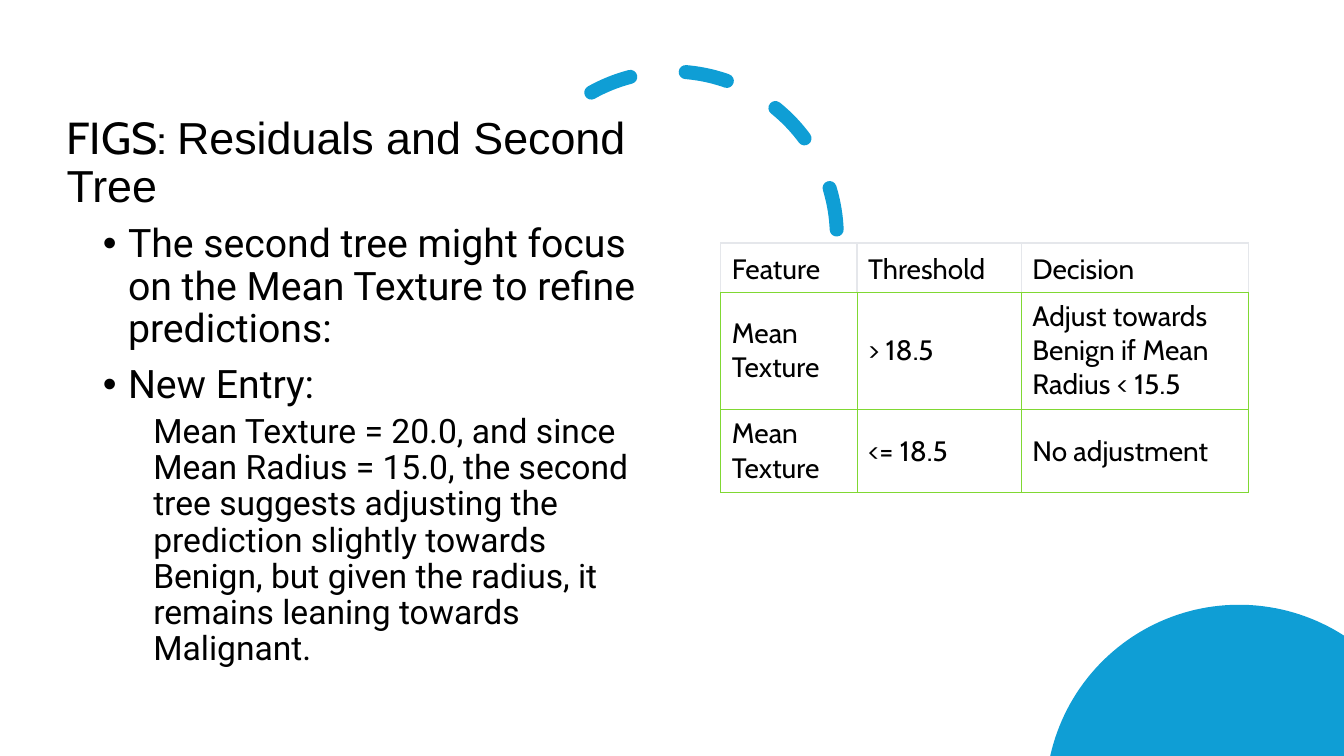
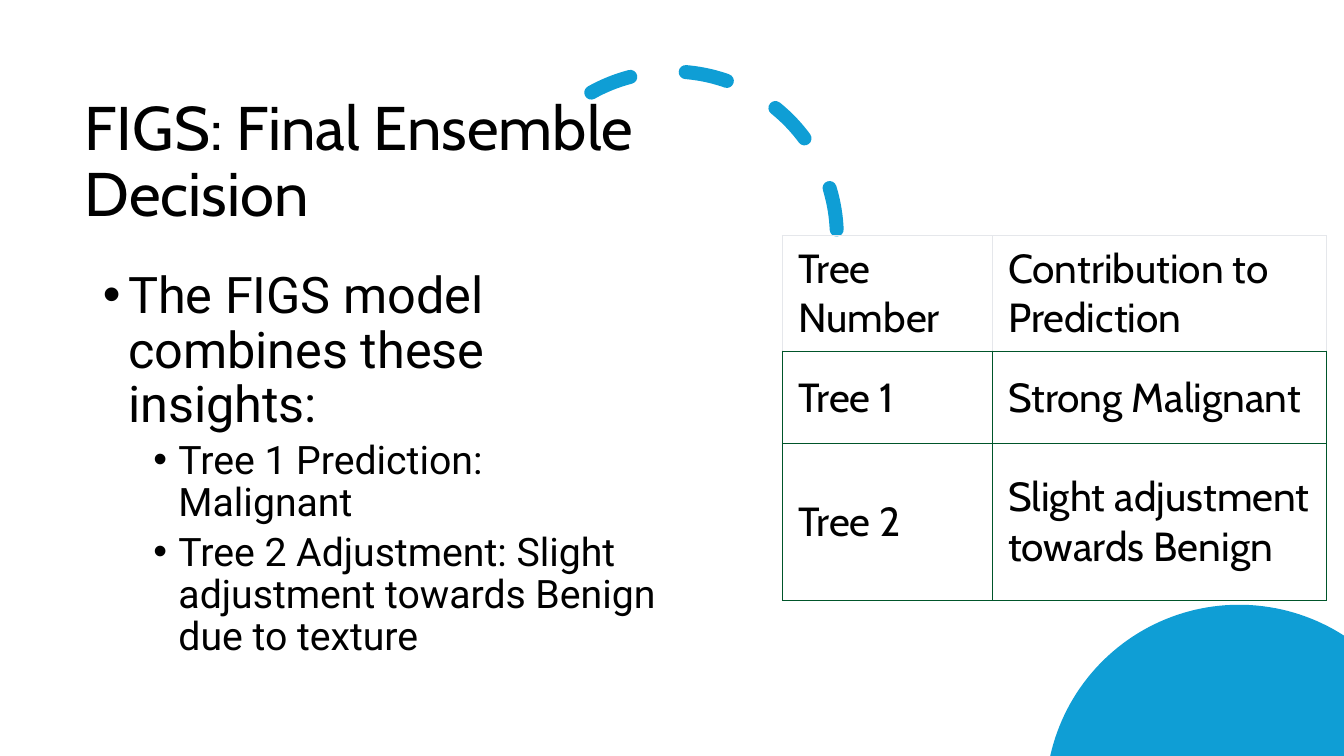
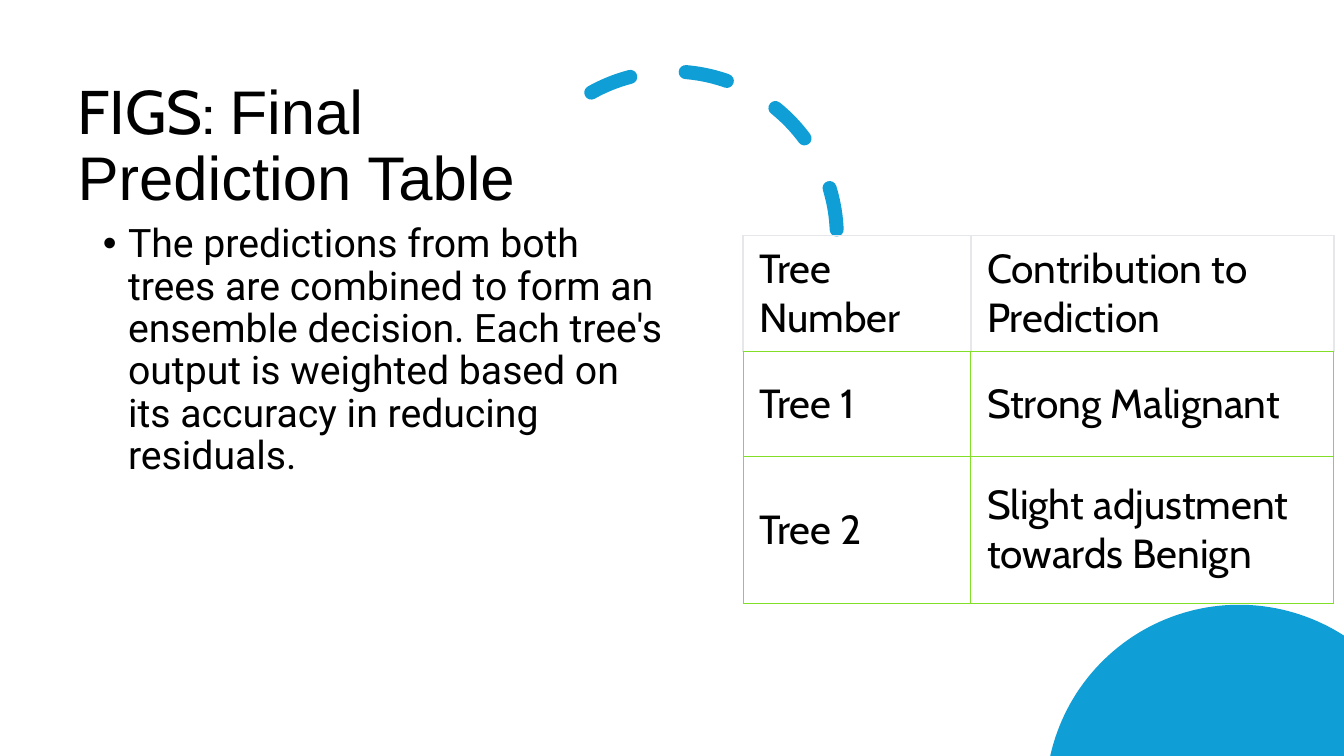
"""Build three slides on how FIGS combines its trees."""
import math
from dataclasses import dataclass

import pptx
import pptx.dml.color
import pptx.enum.dml
import pptx.enum.shapes
import pptx.enum.text
import pptx.oxml.ns
import pptx.oxml.xmlchemy
import pptx.shapes.base
import pptx.slide
import pptx.text.text
import pptx.util
from lxml import etree
from pptx.util import Inches

qn = pptx.oxml.ns.qn


@dataclass(frozen=True)
class Theme:
    """Colours, fonts and type sizes shared by the slides."""
    accent: str = "0F9ED5"
    ink: str = "000000"
    paper: str = "FFFFFF"
    header_rule: str = "E5E7EB"
    lime: str = "80D833"
    forest: str = "00552A"
    grass: str = "80DF26"
    heading_font: str = "Cabin"
    plain_font: str = "Arial"
    body_font: str = "Roboto"
    title_small: int = 32
    title_large: int = 44
    lead_large: int = 36
    lead: int = 28
    detail: int = 24
    table_small: int = 20
    table_large: int = 29


THEME = Theme()
SLIDE_WIDTH, SLIDE_HEIGHT = 13.33, 7.5


@dataclass(frozen=True)
class Words:
    """A run of title text and its font."""
    text: str
    font: str = THEME.heading_font


@dataclass(frozen=True)
class Point:
    """A body paragraph with its outline level and indents in inches."""
    text: str
    size: int
    level: int = 0
    margin: float = 0.25
    hanging: float = 0.25


@dataclass(frozen=True)
class Grid:
    """A table with its place and measures in inches."""
    left: float
    top: float
    columns: tuple[float, ...]
    heights: tuple[float, ...]
    cells: tuple[tuple[str, ...], ...]
    rule: str
    size: int = THEME.table_large
    inset: float = 0.16


@dataclass(frozen=True)
class Page:
    """The content of one slide."""
    title: tuple[Words, ...]
    title_size: int
    title_at: tuple[float, float]
    points: tuple[Point, ...]
    points_top: float
    grid: Grid


ENSEMBLE_CELLS = (
    ("Tree Number", "Contribution to Prediction"),
    ("Tree 1", "Strong Malignant"),
    ("Tree 2", "Slight adjustment towards Benign"),
)

PAGES = (
    Page(
        (Words("FIGS: "), Words("Residuals and Second Tree", THEME.plain_font)),
        THEME.title_small, (0.56, 0.9),
        (
            Point("The second tree might focus on the Mean Texture to refine predictions:", THEME.lead),
            Point("New Entry:", THEME.lead),
            Point("Mean Texture = 20.0, and since Mean Radius = 15.0, the second tree suggests "
                  "adjusting the prediction slightly towards Benign, but given the radius, "
                  "it remains leaning towards Malignant.", THEME.detail, 1, 0.5, 0),
        ),
        2.17,
        Grid(7.15, 2.41, (1.35, 1.63, 2.25), (0.49, 1.16, 0.83), (
            ("Feature", "Threshold", "Decision"),
            ("Mean Texture", "> 18.5", "Adjust towards Benign if Mean Radius < 15.5"),
            ("Mean Texture", "<= 18.5", "No adjustment"),
        ), THEME.lime, THEME.table_small, 0.11),
    ),
    Page(
        (Words("FIGS: Final Ensemble Decision"),),
        THEME.title_large, (0.74, 0.9),
        (
            Point("The FIGS model combines these insights:", THEME.lead_large),
            Point("Tree 1 Prediction: Malignant", THEME.lead, 1, 0.75),
            Point("Tree 2 Adjustment: Slight adjustment towards Benign due to texture",
                  THEME.lead, 1, 0.75),
        ),
        2.63,
        Grid(7.76, 2.34, (2.08, 3.32), (1.08, 0.92, 1.55), ENSEMBLE_CELLS, THEME.forest),
    ),
    Page(
        (Words("FIGS: "), Words("Final Prediction Table", THEME.plain_font)),
        THEME.title_large, (0.67, 0.74),
        (
            Point("The predictions from both trees are combined to form an ensemble decision. "
                  "Each tree's output is weighted based on its accuracy in reducing residuals.",
                  THEME.lead),
        ),
        2.17,
        Grid(7.37, 2.34, (2.26, 3.6), (1.04, 1.04, 1.46), ENSEMBLE_CELLS, THEME.grass),
    ),
)


def rgb(colour: str) -> pptx.dml.color.RGBColor:
    """Turn a hex string into a colour."""
    return pptx.dml.color.RGBColor.from_string(colour)


def add_run(paragraph: pptx.text.text._Paragraph, text: str, font: str, size: int) -> None:
    """Append a formatted run."""
    run = paragraph.add_run()
    run.text = text
    run.font.name = font
    run.font.size = pptx.util.Pt(size)
    run.font.color.rgb = rgb(THEME.ink)


def place(shape: pptx.shapes.base.BaseShape, left: float, top: float,
          width: float, height: float) -> None:
    """Move and size a shape in inches."""
    shape.left, shape.top = Inches(left), Inches(top)
    shape.width, shape.height = Inches(width), Inches(height)


def draw_corner_disc(slide: pptx.slide.Slide) -> None:
    """Draw the disc cut off by the lower right corner."""
    centre_x, centre_y, radius, steps = 12.29, 7.92, 1.92, 60
    start = math.pi - math.asin((centre_y - SLIDE_HEIGHT) / radius)
    end = math.acos((SLIDE_WIDTH - centre_x) / radius)
    angles = [start + (end - start) * step / steps for step in range(steps + 1)]
    rim = [(Inches(centre_x + radius * math.cos(a)), Inches(centre_y - radius * math.sin(a)))
           for a in angles]
    outline = slide.shapes.build_freeform(*rim[0])
    outline.add_line_segments(rim[1:] + [(Inches(SLIDE_WIDTH), Inches(SLIDE_HEIGHT))])
    disc = outline.convert_to_shape()
    disc.shadow.inherit = False
    disc.fill.solid()
    disc.fill.fore_color.rgb = rgb(THEME.accent)
    disc.line.fill.background()


def draw_dashed_arc(slide: pptx.slide.Slide) -> None:
    """Draw the round-capped dashed arc."""
    arc = slide.shapes.add_shape(pptx.enum.shapes.MSO_SHAPE.ARC, Inches(5.03), Inches(0.71),
                                 Inches(3.27), Inches(3.27))
    arc.adjustments[0] = 144.418
    arc.adjustments[1] = 0
    arc.shadow.inherit = False
    arc.fill.background()
    arc.line.color.rgb = rgb(THEME.accent)
    arc.line.width = pptx.util.Pt(10)
    arc.line.dash_style = pptx.enum.dml.MSO_LINE.DASH
    arc.element.find(".//" + qn("a:ln")).set("cap", "rnd")


def fill_title(slide: pptx.slide.Slide, page: Page) -> None:
    """Place and write the title above the decoration."""
    title = slide.shapes.title
    slide.shapes.element.append(title.element)
    place(title, *page.title_at, 5.75, 1.45)
    frame = title.text_frame
    frame.auto_size = pptx.enum.text.MSO_AUTO_SIZE.NONE
    frame.vertical_anchor = pptx.enum.text.MSO_ANCHOR.MIDDLE
    paragraph = frame.paragraphs[0]
    paragraph.alignment = pptx.enum.text.PP_ALIGN.LEFT
    paragraph.line_spacing = 0.9
    for words in page.title:
        add_run(paragraph, words.text, words.font, page.title_size)


def fill_points(slide: pptx.slide.Slide, page: Page) -> None:
    """Place and write the outline above the decoration."""
    outline = slide.placeholders[1]
    slide.shapes.element.append(outline.element)
    place(outline, 0.92, page.points_top, 5.75, 4.58)
    frame = outline.text_frame
    frame.auto_size = pptx.enum.text.MSO_AUTO_SIZE.NONE
    for index, point in enumerate(page.points):
        paragraph = frame.add_paragraph() if index else frame.paragraphs[0]
        paragraph.level = point.level
        paragraph.line_spacing = 0.9
        paragraph.space_before = pptx.util.Pt(5 if point.level else 10)
        add_run(paragraph, point.text, THEME.body_font, point.size)
        properties = paragraph._p.get_or_add_pPr()
        properties.set("marL", str(Inches(point.margin)))
        properties.set("indent", str(-Inches(point.hanging)))
        if point.hanging:
            etree.SubElement(properties, qn("a:buFont"), typeface=THEME.plain_font)
            etree.SubElement(properties, qn("a:buChar"), char="•")
        else:
            etree.SubElement(properties, qn("a:buNone"))


def set_borders(properties: pptx.oxml.xmlchemy.BaseOxmlElement, rule: str, header: bool) -> None:
    """Draw the four borders of a cell."""
    for index, side in enumerate(("lnL", "lnR", "lnT", "lnB")):
        pale = header and side != "lnB"
        border = etree.Element(qn("a:" + side), w=str(pptx.util.Pt(1 if pale else 0.75)))
        solid = etree.SubElement(border, qn("a:solidFill"))
        etree.SubElement(solid, qn("a:srgbClr"), val=THEME.header_rule if pale else rule)
        properties.insert(index, border)


def draw_grid(slide: pptx.slide.Slide, grid: Grid) -> None:
    """Draw the ruled table."""
    holder = slide.shapes.add_table(
        len(grid.heights), len(grid.columns), Inches(grid.left), Inches(grid.top),
        Inches(sum(grid.columns)), Inches(sum(grid.heights)))
    table = holder.table
    table.first_row = table.horz_banding = False
    for column, width in zip(table.columns, grid.columns):
        column.width = Inches(width)
    for row, height in zip(table.rows, grid.heights):
        row.height = Inches(height)
    anchors = pptx.enum.text.MSO_ANCHOR
    for row_index, texts in enumerate(grid.cells):
        for column_index, text in enumerate(texts):
            cell = table.cell(row_index, column_index)
            cell.margin_left = cell.margin_right = Inches(grid.inset)
            cell.margin_top = cell.margin_bottom = Inches(grid.inset / 2)
            cell.vertical_anchor = anchors.MIDDLE if row_index else anchors.BOTTOM
            cell.fill.background()
            add_run(cell.text_frame.paragraphs[0], text, THEME.heading_font, grid.size)
    for index, properties in enumerate(holder.element.iter(qn("a:tcPr"))):
        set_borders(properties, grid.rule, header=index < len(grid.columns))


def main() -> None:
    """Build and save the presentation."""
    deck = pptx.Presentation()
    deck.slide_width, deck.slide_height = Inches(SLIDE_WIDTH), Inches(SLIDE_HEIGHT)
    backdrop = deck.slide_master.background.fill
    backdrop.solid()
    backdrop.fore_color.rgb = rgb(THEME.paper)
    for page in PAGES:
        slide = deck.slides.add_slide(deck.slide_layouts[1])
        draw_corner_disc(slide)
        draw_dashed_arc(slide)
        fill_title(slide, page)
        fill_points(slide, page)
        draw_grid(slide, page.grid)
    deck.save("out.pptx")


if __name__ == "__main__":
    main()
